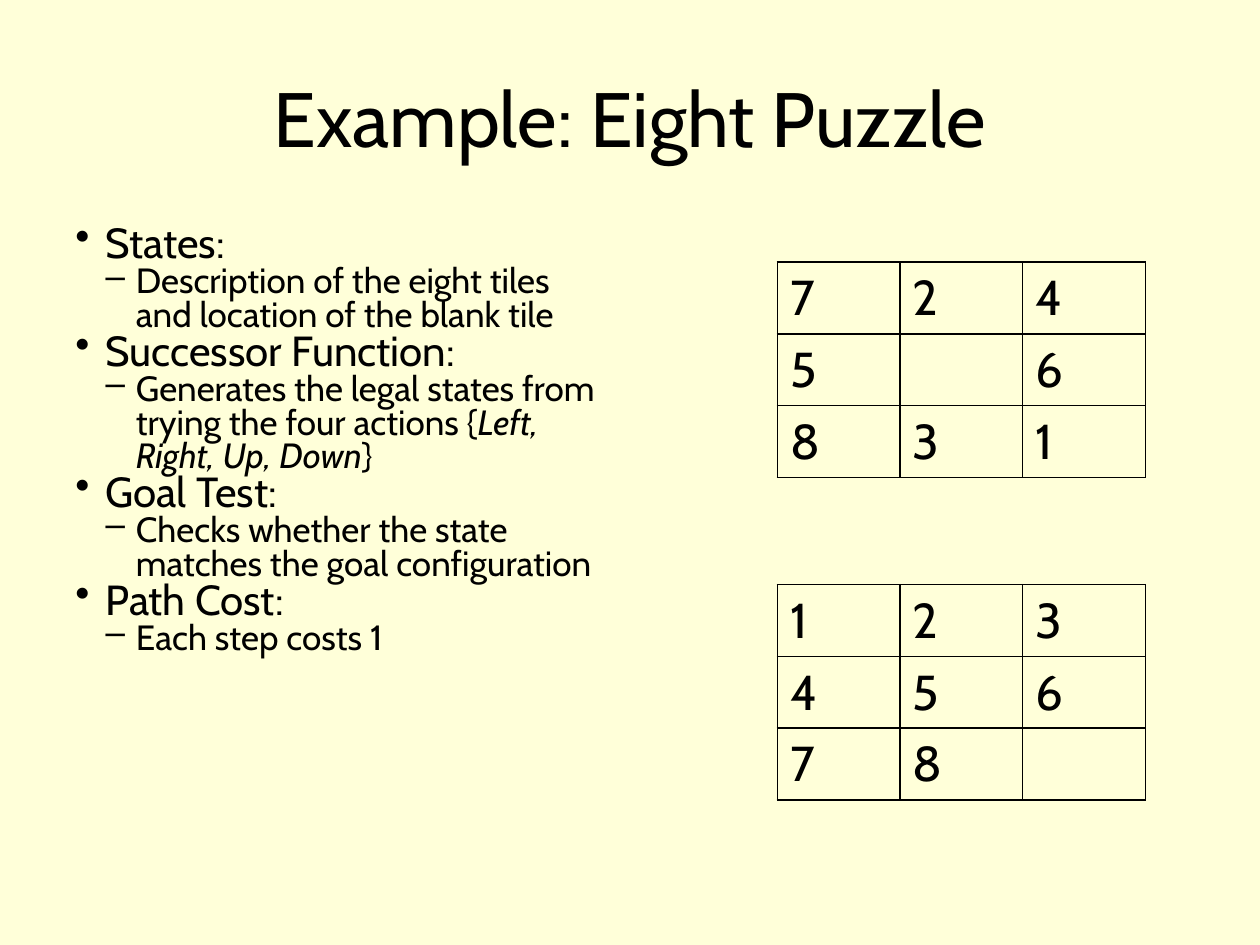
"""Build the eight puzzle slide: problem outline beside start and goal boards."""
from lxml import etree
from pptx import Presentation
from pptx import util as u
from pptx.dml.color import RGBColor
from pptx.enum import text
from pptx.oxml import ns

INK = "000000"


def paint(item, hue):
    item.rgb = RGBColor.from_string(hue)


def style(para, size):
    para.font.name = "Cabin"
    para.font.size = u.Pt(size)
    paint(para.font.color, INK)


deck = Presentation()
deck.slide_width, deck.slide_height = u.Inches(10), u.Inches(7.5)
slide = deck.slides.add_slide(deck.slide_layouts[6])
slide.background.fill.solid()
paint(slide.background.fill.fore_color, "FFFFD9")

title = slide.shapes.add_textbox(u.Inches(0.5), u.Inches(0.3), u.Inches(9), u.Inches(1.25))
frame = title.text_frame
frame.word_wrap = True
frame.vertical_anchor = text.MSO_ANCHOR.MIDDLE
para = frame.paragraphs[0]
para.text = "Example: Eight Puzzle"
para.alignment = text.PP_ALIGN.CENTER
style(para, 44)

outline = [
    ("States:", ["Description of the eight tiles and location of the blank tile"]),
    ("Successor Function:", ["Generates the legal states from trying the four actions {",
                             "Left, Right, Up, Down", "}"]),
    ("Goal Test:", ["Checks whether the state matches the goal configuration"]),
    ("Path Cost:", ["Each step costs 1"]),
]
lines = []
for head, parts in outline:
    lines += [(0, "•", 24, [head]), (1, "–", 20, parts)]

body = slide.shapes.add_textbox(u.Inches(0.5), u.Inches(1.75), u.Inches(4.42), u.Inches(4.95))
frame = body.text_frame
frame.word_wrap = True
for index, (level, mark, size, parts) in enumerate(lines):
    para = frame.add_paragraph() if index else frame.paragraphs[0]
    para.level = level
    para.line_spacing = 0.8
    style(para, size)
    for spot, part in enumerate(parts):
        run = para.add_run()
        run.text = part
        if spot == 1:
            run.font.italic = True
    props = para._p.get_or_add_pPr()
    props.set("marL", str(u.Inches(0.24 * (level + 1))))
    props.set("indent", str(u.Inches(-0.24)))
    bullet = etree.Element(ns.qn("a:buChar"), char=mark)
    props.find(ns.qn("a:defRPr")).addprevious(bullet)

boards = [(2.08, ["724", "5 6", "831"]), (4.64, ["123", "456", "78 "])]
for top, rows in boards:
    board = slide.shapes.add_table(3, 3, u.Inches(6.17), u.Inches(top),
                                   u.Inches(2.92), u.Inches(1.71)).table
    board.first_row = board.horz_banding = False
    for row, tiles in enumerate(rows):
        for col, tile in enumerate(tiles):
            cell = board.cell(row, col)
            cell.text = tile.strip()
            style(cell.text_frame.paragraphs[0], 28)
            cell.fill.background()
            props = cell._tc.get_or_add_tcPr()
            for spot, side in enumerate("LRTB"):
                edge = etree.Element(ns.qn(f"a:ln{side}"), w=str(u.Pt(1)))
                fill = etree.SubElement(edge, ns.qn("a:solidFill"))
                etree.SubElement(fill, ns.qn("a:srgbClr"), val=INK)
                props.insert(spot, edge)

deck.save("out.pptx")
